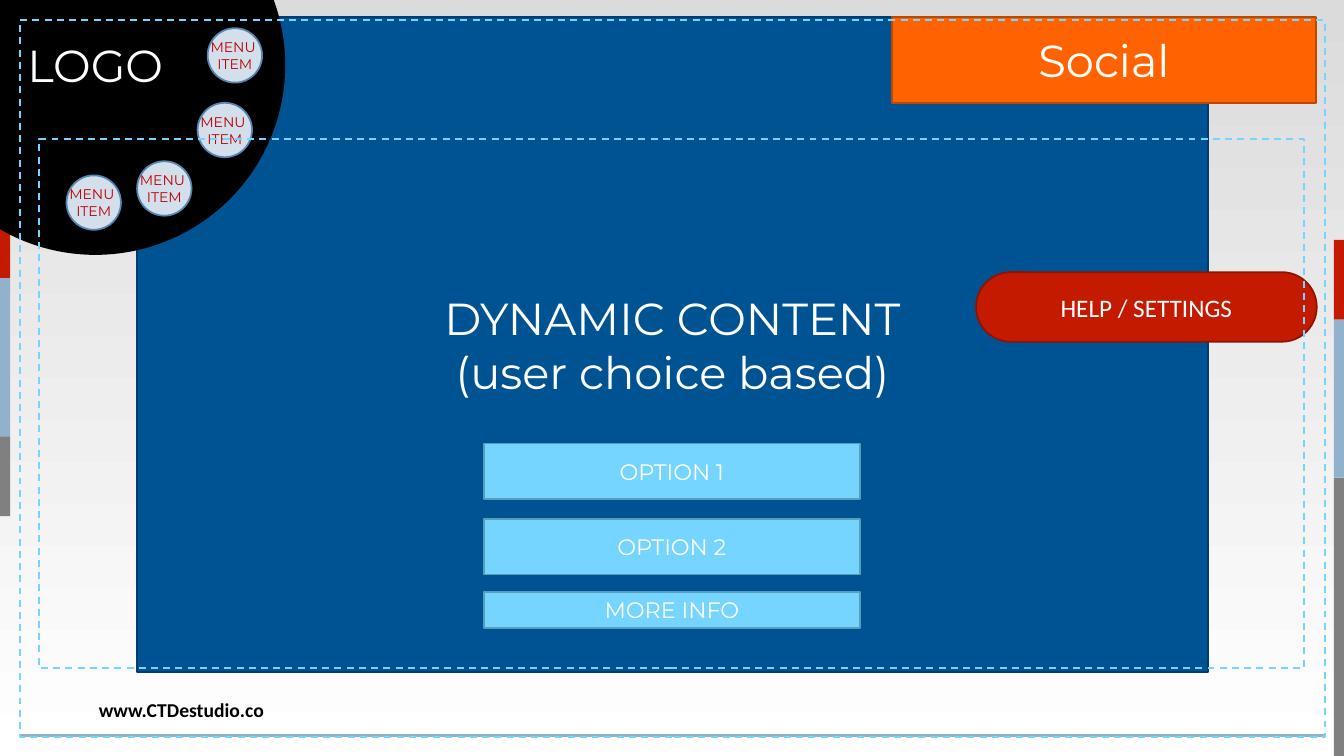
from copy import deepcopy
from dataclasses import dataclass
from typing import Optional

from lxml.etree import SubElement
from pptx import Presentation
from pptx.dml.color import RGBColor
from pptx.enum.dml import MSO_LINE
from pptx.enum.shapes import MSO_CONNECTOR, MSO_SHAPE
from pptx.enum.text import MSO_ANCHOR, PP_ALIGN
from pptx.oxml.ns import qn
from pptx.shapes.autoshape import Shape
from pptx.slide import Slide
from pptx.util import Inches, Pt

RED, STEEL, GRAY = "C31A00", "92B1CC", "808080"
SKY, SKY_EDGE = "75D5FF", "579EBD"
WHITE, BLACK = "FFFFFF", "000000"
SLIDE_WIDTH, SLIDE_HEIGHT = 13.33, 7.5
BAR_WIDTH = 0.1


@dataclass
class Panel:
    left: float
    top: float
    width: float
    height: float
    fill: Optional[str] = None
    edge: Optional[str] = None
    kind: MSO_SHAPE = MSO_SHAPE.RECTANGLE
    dashed: bool = False
    text: str = ""
    size: float = 16
    font: str = "Montserrat"
    color: str = WHITE
    wrap: bool = True


@dataclass
class Band:
    height: float
    color: str


def rgb(value: str) -> RGBColor:
    return RGBColor.from_string(value)


def write(box: Shape, text: str, *, size: float, font: str, color: str,
          bold: bool = False, wrap: bool = True,
          align: PP_ALIGN = PP_ALIGN.CENTER) -> None:
    frame = box.text_frame
    frame.word_wrap = wrap
    frame.vertical_anchor = MSO_ANCHOR.MIDDLE
    para = frame.paragraphs[0]
    para.alignment = align
    for index, line in enumerate(text.split("\n")):
        if index:
            para.add_line_break()
        span = para.add_run()
        span.text = line
        span.font.size = Pt(size)
        span.font.name = font
        span.font.bold = bold
        span.font.color.rgb = rgb(color)
    for line_break in para._p.findall(qn("a:br")):
        line_break.append(deepcopy(para.runs[0]._r.rPr))


def draw_panel(page: Slide, panel: Panel) -> None:
    box = page.shapes.add_shape(
        panel.kind, Inches(panel.left), Inches(panel.top),
        Inches(panel.width), Inches(panel.height))
    box.shadow.inherit = False
    if panel.kind == MSO_SHAPE.ROUNDED_RECTANGLE:
        box.adjustments[0] = 0.5
    if panel.fill:
        box.fill.solid()
        box.fill.fore_color.rgb = rgb(panel.fill)
    else:
        box.fill.background()
    if panel.edge:
        box.line.color.rgb = rgb(panel.edge)
        box.line.width = Pt(1.25)
        if panel.dashed:
            box.line.dash_style = MSO_LINE.DASH
    else:
        box.line.fill.background()
    if panel.text:
        write(box, panel.text, size=panel.size, font=panel.font,
              color=panel.color, wrap=panel.wrap)


def draw_side_bar(page: Slide, left: float, top: float, bands: list[Band]) -> None:
    for band in bands:
        draw_panel(page, Panel(left, top, BAR_WIDTH, band.height, band.color))
        top += band.height


def draw_background(page: Slide) -> None:
    fill = page.background.fill
    fill.gradient()
    fill.gradient_angle = 270
    for stop, color in zip(fill.gradient_stops, ("DBDBDB", WHITE)):
        stop.color.rgb = rgb(color)


def draw_footer(page: Slide) -> None:
    box = page.shapes.add_textbox(Inches(0.98), Inches(6.84), Inches(1.77), Inches(0.4))
    frame = box.text_frame
    frame.margin_left = frame.margin_right = frame.margin_top = frame.margin_bottom = 0
    write(box, "www.CTDestudio.co", size=14, font="Calibri", color=BLACK,
          bold=True, align=PP_ALIGN.LEFT)
    rule = page.shapes.add_connector(
        MSO_CONNECTOR.STRAIGHT, Inches(0.2), Inches(7.3), Inches(13.14), Inches(7.3))
    rule.line.color.rgb = rgb(STEEL)
    rule.line.width = Pt(2)
    SubElement(rule._element.spPr, qn("a:effectLst"))


def option(top: float, height: float, text: str) -> Panel:
    return Panel(4.8, top, 3.73, height, SKY, SKY_EDGE, text=text)


def menu_item(left: float, top: float) -> Panel:
    return Panel(left, top, 0.54, 0.54, "D3E0EB", "5686B0", MSO_SHAPE.OVAL,
                 text="MENU \nITEM", size=10, color="C00000", wrap=False)


def main() -> None:
    deck = Presentation()
    deck.slide_width = Inches(SLIDE_WIDTH)
    deck.slide_height = Inches(SLIDE_HEIGHT)
    page = deck.slides.add_slide(deck.slide_layouts[6])

    draw_background(page)
    draw_footer(page)
    draw_side_bar(page, 0, 0, [Band(2.76, RED), Band(1.57, STEEL), Band(0.79, GRAY)])
    draw_side_bar(page, SLIDE_WIDTH - BAR_WIDTH, 2.38,
                  [Band(0.79, RED), Band(1.57, STEEL), Band(2.76, GRAY)])

    menu_places = [(2.06, 0.28), (1.36, 1.6), (1.96, 1.02), (0.66, 1.74)]
    panels = [
        Panel(1.36, 0.17, 10.62, 6.5, "005392", "003D6C",
              text="DYNAMIC CONTENT\n(user choice based)", size=32),
        option(4.4, 0.55, "OPTION 1"),
        Panel(-0.93, -1.23, 3.75, 3.75, BLACK, BLACK, MSO_SHAPE.OVAL,
              text="LOGO", size=32),
        Panel(9.68, 2.7, 3.38, 0.69, RED, "901300", MSO_SHAPE.ROUNDED_RECTANGLE,
              text="HELP / SETTINGS", size=18, font="Calibri"),
        *(menu_item(left, top) for left, top in menu_places),
        option(5.15, 0.55, "OPTION 2"),
        option(5.87, 0.36, "MORE INFO"),
        Panel(8.85, 0.17, 4.2, 0.85, "FF6200", "BD4900", text="Social", size=32),
        Panel(0.2, 0.2, 12.94, 7.11, edge=SKY, dashed=True),
        Panel(0.39, 1.38, 12.54, 5.25, edge=SKY, dashed=True),
    ]
    for panel in panels:
        draw_panel(page, panel)

    deck.save("out.pptx")


if __name__ == "__main__":
    main()
